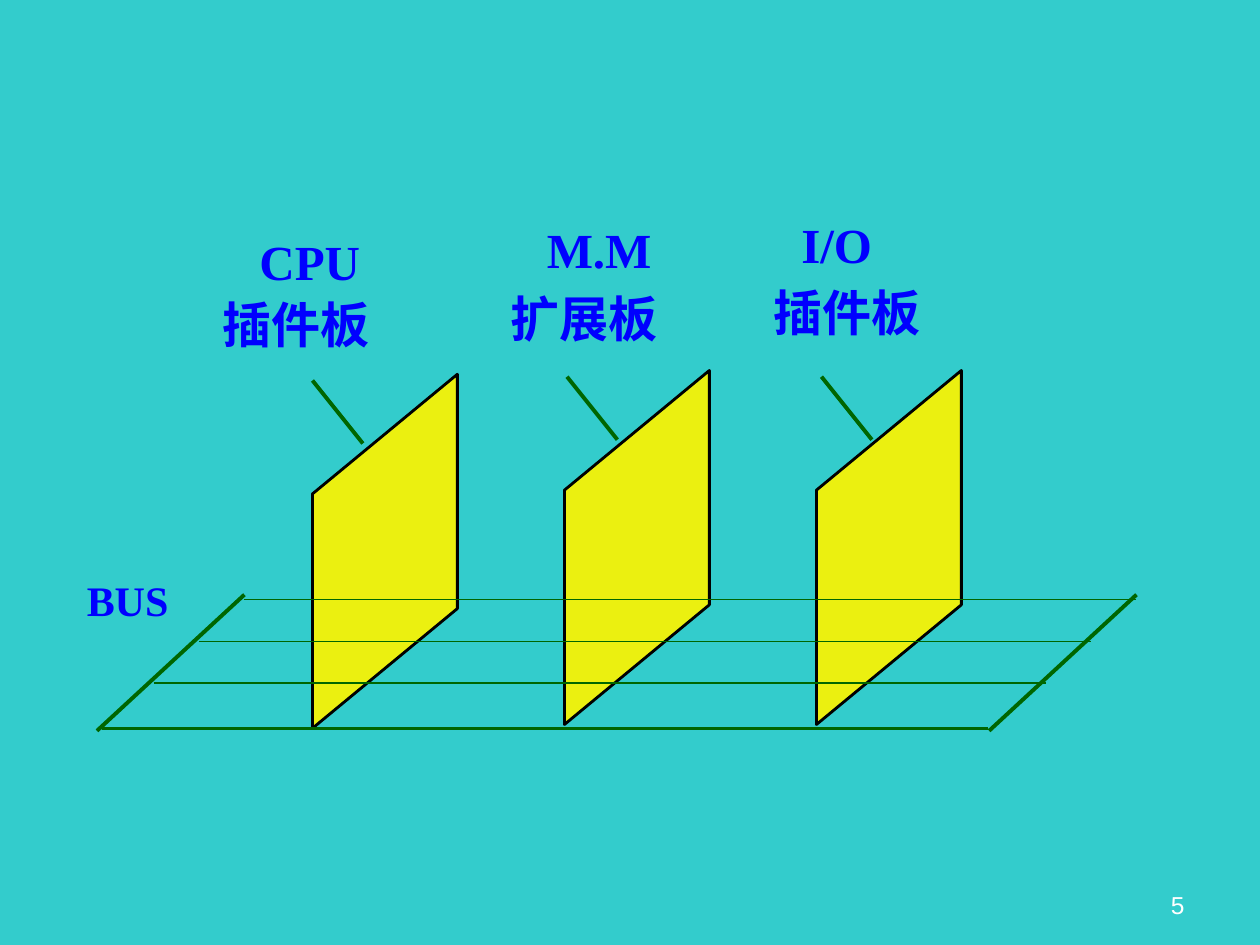
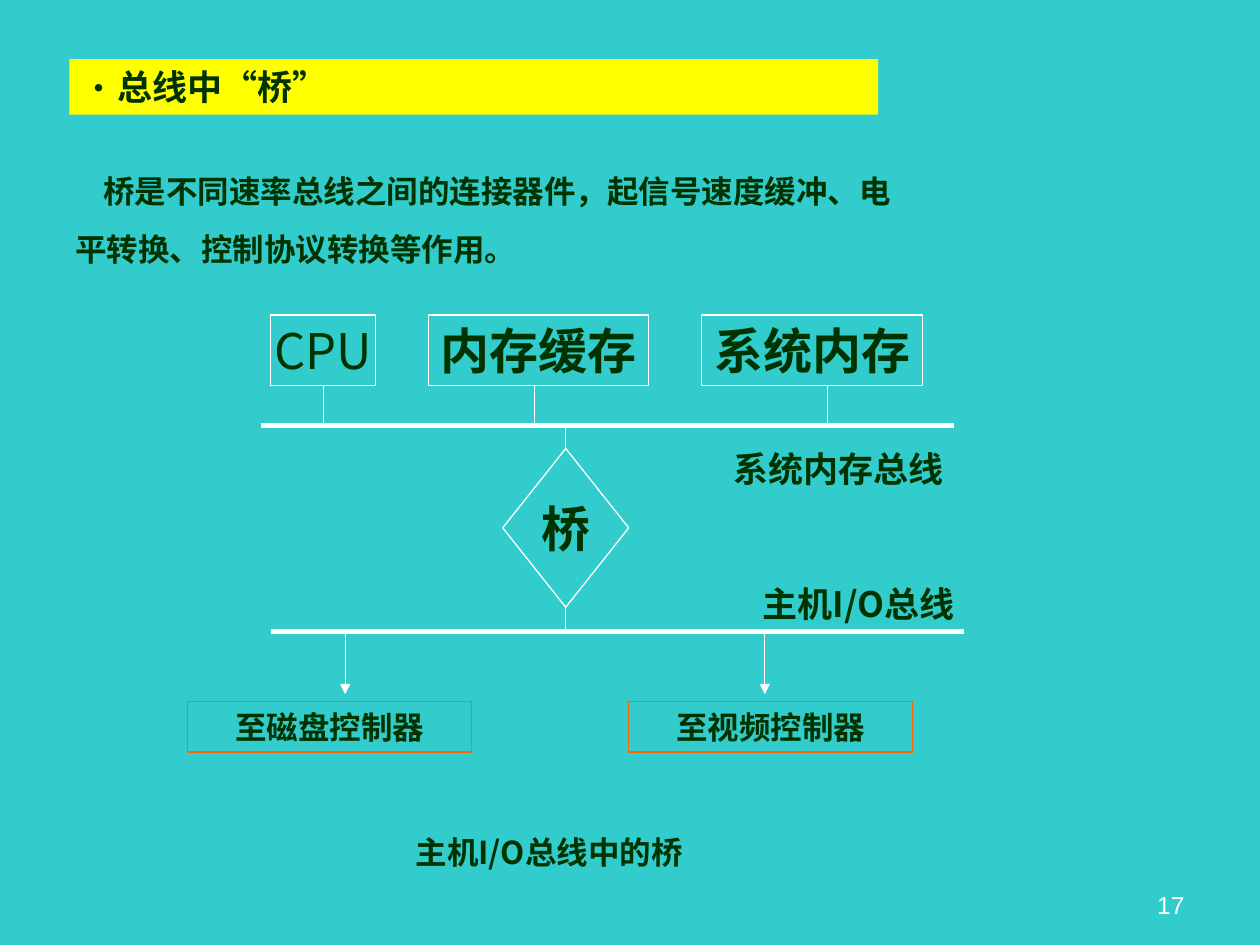
from dataclasses import dataclass

from lxml import etree
from pptx import Presentation
from pptx.dml.color import RGBColor
from pptx.enum.shapes import MSO_CONNECTOR, MSO_SHAPE
from pptx.enum.text import MSO_ANCHOR, MSO_AUTO_SIZE, PP_ALIGN
from pptx.oxml.ns import qn
from pptx.util import Inches, Pt

STRAIGHT = MSO_CONNECTOR.STRAIGHT
RECTANGLE, DECISION = MSO_SHAPE.RECTANGLE, MSO_SHAPE.FLOWCHART_DECISION
TOP, MIDDLE, BOTTOM = MSO_ANCHOR.TOP, MSO_ANCHOR.MIDDLE, MSO_ANCHOR.BOTTOM
LEFT, CENTER, RIGHT = PP_ALIGN.LEFT, PP_ALIGN.CENTER, PP_ALIGN.RIGHT
NO_AUTOFIT = MSO_AUTO_SIZE.NONE
TITLE_ONLY, BLANK = 5, 6


@dataclass(frozen=True)
class Theme:
    background: str = "33CCCC"
    white: str = "FFFFFF"
    black: str = "000000"
    ink: str = "003300"
    label: str = "0000FF"
    bus: str = "006600"
    board: str = "EBF010"
    banner: str = "FFFF00"
    controller: str = "FF6600"
    sans: str = "Arial"
    serif: str = "Times New Roman"
    chinese: str = "Noto Sans CJK SC"
    large: int = 28
    bus_label: int = 24
    heading: int = 20
    body: int = 18
    number: int = 14
    thin: float = 0.75
    outline: float = 1.62
    medium: float = 2.25
    thick: float = 3


def color(value):
    return RGBColor.from_string(value)


class Deck:
    def __init__(self, theme):
        self.theme = theme
        self.presentation = Presentation()
        self.presentation.slide_width = Inches(10)
        self.presentation.slide_height = Inches(7.5)
        self.fill(self.presentation.slide_master.background, theme.background)
        self.slide = None

    def new_slide(self, layout, number):
        self.slide = self.presentation.slides.add_slide(
            self.presentation.slide_layouts[layout])
        self.text(number, 7.17, 6.83, 2.33, 0.52, size=self.theme.number,
                  font=self.theme.sans, ink=self.theme.white, bold=False,
                  align=RIGHT, anchor=BOTTOM)

    def fill(self, target, value):
        if value is None:
            target.fill.background()
        else:
            target.fill.solid()
            target.fill.fore_color.rgb = color(value)

    def stroke(self, line, value, width):
        line.color.rgb = color(value)
        line.width = Pt(width)

    def format_paragraph(self, paragraph, size, font=None, ink=None,
                         bold=True, align=LEFT):
        name = font or self.theme.chinese
        paragraph.alignment = align
        paragraph.font.size = Pt(size)
        paragraph.font.bold = bold
        paragraph.font.name = name
        paragraph.font.color.rgb = color(ink or self.theme.ink)
        if name == self.theme.chinese:
            properties = paragraph._p.pPr.find(qn("a:defRPr"))
            etree.SubElement(properties, qn("a:ea"), typeface=name)

    def set_text(self, shape, text, wrap=True, anchor=TOP, inset=True, **style):
        frame = shape.text_frame
        frame.text = text
        frame.word_wrap = wrap
        frame.auto_size = NO_AUTOFIT
        frame.vertical_anchor = anchor
        frame.margin_left = frame.margin_right = Inches(0.1 if inset else 0)
        frame.margin_top = frame.margin_bottom = Inches(0.05 if inset else 0)
        for paragraph in frame.paragraphs:
            self.format_paragraph(paragraph, **style)
        return frame

    def text(self, text, left, top, width, height, **style):
        shape = self.slide.shapes.add_textbox(
            Inches(left), Inches(top), Inches(width), Inches(height))
        return self.set_text(shape, text, **style)

    def title(self, text, left, top, width, height):
        shape = self.slide.shapes.title
        shape.left, shape.top = Inches(left), Inches(top)
        shape.width, shape.height = Inches(width), Inches(height)
        self.fill(shape, self.theme.banner)
        frame = shape.text_frame
        frame.text = text
        frame.auto_size = NO_AUTOFIT
        frame.vertical_anchor = TOP
        paragraph = frame.paragraphs[0]
        properties = paragraph._p.get_or_add_pPr()
        properties.set("marL", str(Inches(0.28)))
        properties.set("indent", str(-Inches(0.28)))
        etree.SubElement(properties, qn("a:buFont"), typeface=self.theme.chinese)
        etree.SubElement(properties, qn("a:buChar"), char="•")
        self.format_paragraph(paragraph, self.theme.heading)

    def box(self, text, left, top, width, height, kind=RECTANGLE, fill=None,
            outline=None, **style):
        shape = self.slide.shapes.add_shape(
            kind, Inches(left), Inches(top), Inches(width), Inches(height))
        shape.shadow.inherit = False
        self.fill(shape, fill)
        self.stroke(shape.line, outline or self.theme.white, self.theme.thin)
        self.set_text(shape, text, align=CENTER, **style)

    def line(self, start, end, value, width, arrow=False):
        connector = self.slide.shapes.add_connector(
            STRAIGHT, *(Inches(length) for length in (*start, *end)))
        self.stroke(connector.line, value, width)
        properties = connector._element.spPr
        if arrow:
            etree.SubElement(properties.find(qn("a:ln")), qn("a:tailEnd"),
                             type="triangle")
        etree.SubElement(properties, qn("a:effectLst"))

    def polygon(self, points, fill, outline, width):
        start, *others = [(Inches(x), Inches(y)) for x, y in points]
        builder = self.slide.shapes.build_freeform(*start, scale=1.0)
        builder.add_line_segments(others, close=True)
        shape = builder.convert_to_shape()
        shape.shadow.inherit = False
        self.fill(shape, fill)
        self.stroke(shape.line, outline, width)


def build_board_slide(deck):
    theme = deck.theme
    deck.new_slide(BLANK, "5")
    boards = [
        (2.48, 2.97, 2.48, ("CPU", 2.06, 1.84), ("插件板", 1.77, 2.34)),
        (4.48, 2.94, 4.5, ("M.M", 4.34, 1.74), ("扩展板", 4.05, 2.29)),
        (6.48, 2.94, 6.52, ("I/O", 6.36, 1.7), ("插件板", 6.14, 2.24)),
    ]
    for left, top, pointer, device, kind in boards:
        right = left + 1.15
        deck.polygon([(left, top + 0.95), (right, top), (right, top + 1.86),
                      (left, top + 2.81)],
                     theme.board, theme.black, theme.outline)
        for (text, x, y), font in ((device, theme.serif), (kind, theme.chinese)):
            deck.text(text, x, y, 1.2, 0.47, size=theme.large, font=font,
                      ink=theme.label, wrap=False, inset=False)
        deck.line((pointer, top + 0.05), (pointer + 0.4, top + 0.55),
                  theme.bus, theme.medium)

    deck.text("BUS", 0.59, 4.51, 0.85, 0.5, size=theme.bus_label,
              font=theme.serif, ink=theme.label, wrap=False)
    deck.line((0.81, 5.78), (7.84, 5.78), theme.bus, theme.outline)
    for row in range(3):
        left, y = 1.94 - 0.36 * row, 4.76 + 0.33 * row
        deck.line((left, y), (left + 7.08, y), theme.bus, theme.thin)
    for x in (1.94, 9.02):
        deck.line((x, 4.72), (x - 1.17, 5.8), theme.bus, theme.medium)


def build_bridge_slide(deck):
    theme = deck.theme
    deck.new_slide(TITLE_ONLY, "17")
    deck.title("总线中“桥”", 0.55, 0.47, 6.42, 0.44)
    frame = deck.text("桥是不同速率总线之间的连接器件，起信号速度缓冲、电\n"
                      "平转换、控制协议转换等作用。",
                      0.5, 1.32, 9.08, 0.86, size=theme.body)
    first, second = frame.paragraphs
    first._p.pPr.set("indent", str(Inches(0.22)))
    second.space_before = Pt(11.2)

    memory_bus, host_bus, bridge = 3.38, 5.01, 4.49
    for left, y in ((2.07, memory_bus), (2.15, host_bus)):
        deck.line((left, y), (left + 5.5, y), theme.white, theme.thick)

    node = dict(fill=theme.background, size=theme.large, anchor=MIDDLE, wrap=False)
    for text, left, width, drop, bold in (("CPU", 2.15, 0.83, 2.57, False),
                                          ("内存缓存", 3.4, 1.75, 4.24, True),
                                          ("系统内存", 5.57, 1.75, 6.57, True)):
        deck.box(text, left, 2.5, width, 0.56, bold=bold, **node)
        deck.line((drop, 3.06), (drop, memory_bus), theme.white, theme.thin)

    deck.box("桥", bridge - 0.5, 3.56, 1, 1.26, kind=DECISION, **node)
    for start, end in ((3.56, memory_bus), (4.82, host_bus)):
        deck.line((bridge, start), (bridge, end), theme.white, theme.thin)

    for text, left, drop in (("至磁盘控制器", 1.49, 2.74),
                             ("至视频控制器", 4.99, 6.07)):
        deck.line((drop, host_bus), (drop, 5.51), theme.white, theme.thin,
                  arrow=True)
        deck.box(text, left, 5.57, 2.25, 0.4, outline=theme.controller,
                 size=theme.body)

    for text, left, top in (("主机I/O总线", 5.65, 4.57),
                            ("系统内存总线", 5.49, 3.5)):
        deck.text(text, left, top, 2.33, 0.44, size=theme.heading, align=CENTER)
    deck.text("主机I/O总线中的桥", 3.2, 6.56, 3.33, 0.4, size=theme.body)


def main():
    deck = Deck(Theme())
    build_board_slide(deck)
    build_bridge_slide(deck)
    deck.presentation.save("out.pptx")


if __name__ == "__main__":
    main()
